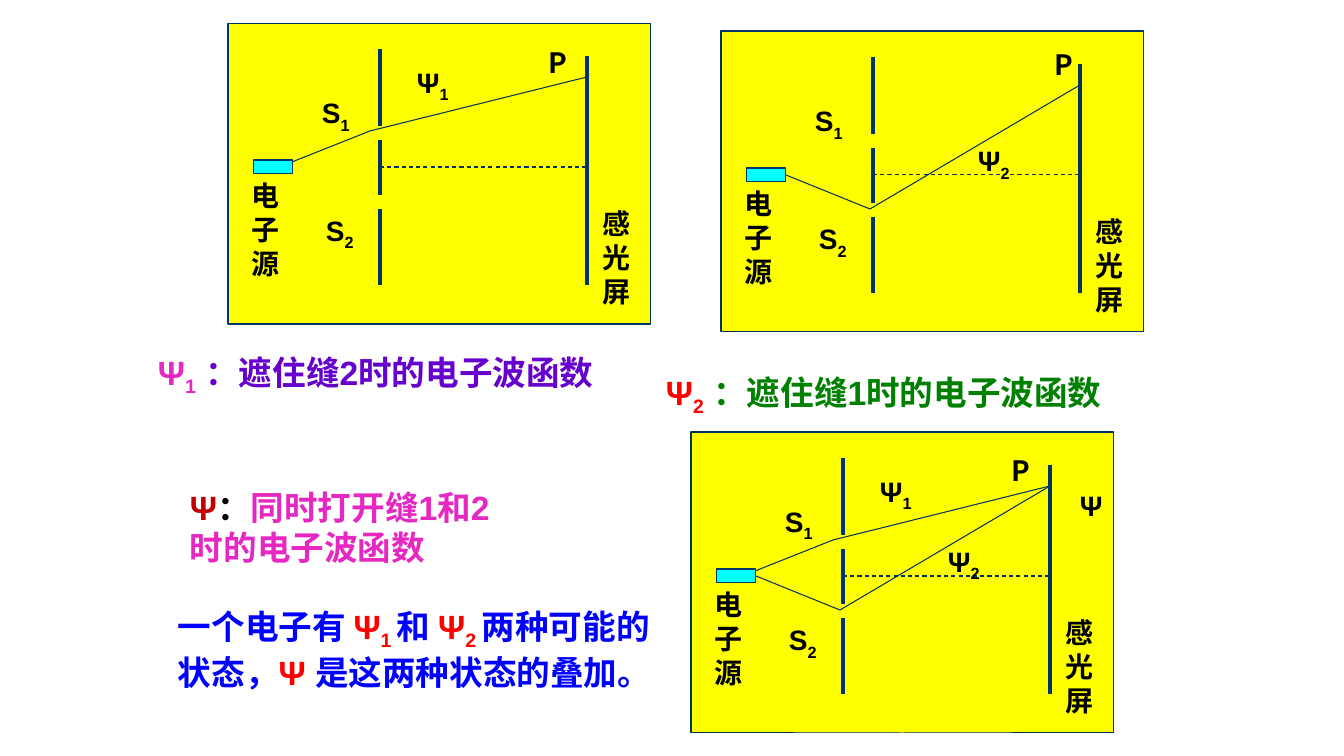
import pptx
import pptx.dml.color
import pptx.enum.dml
import pptx.enum.shapes
import pptx.enum.text
import pptx.oxml.ns
import pptx.util
from lxml import etree

PX = 914400 / 100.8
COLORS = {
    "black": "000000", "white": "FFFFFF", "navy": "003366",
    "yellow": "FFFF00", "cyan": "00FFFF", "blue": "0000FF",
    "red": "FF0000", "dark": "C00000", "pink": "E628C2",
    "purple": "6600CC", "green": "008000",
}
FRAME = {
    "word_wrap": True,
    "vertical_anchor": pptx.enum.text.MSO_ANCHOR.TOP,
}
LABEL = {"size": pptx.util.Pt(20), "bold": True, "name": "Arial"}
POINT = {**LABEL, "name": "Noto Sans CJK SC"}
BODY = {**LABEL, "size": pptx.util.Pt(24)}


def emu(*px):
    return [round(n * PX) for n in px]


def color(name):
    return pptx.dml.color.RGBColor.from_string(COLORS[name])


def apply(item, values):
    for key, value in values.items():
        setattr(item, key, value)


def add_rect(slide, box, fill, line=None):
    rect = slide.shapes.add_shape(
        pptx.enum.shapes.MSO_SHAPE.RECTANGLE, *emu(*box))
    rect.shadow.inherit = False
    rect.fill.solid()
    rect.fill.fore_color.rgb = color(fill)
    if line:
        rect.line.color.rgb = color(line)
        rect.line.width = pptx.util.Pt(0.75)
    else:
        rect.line.fill.background()
    return rect


def add_line(slide, start, end, width=0.75, dash=False):
    line = slide.shapes.add_connector(
        pptx.enum.shapes.MSO_CONNECTOR.STRAIGHT, *emu(*start, *end))
    line.line.color.rgb = color("navy")
    line.line.width = pptx.util.Pt(width)
    if dash:
        line.line.dash_style = pptx.enum.dml.MSO_LINE.DASH
    etree.SubElement(line._element.spPr, pptx.oxml.ns.qn("a:effectLst"))


def add_text(slide, box, parts, fmt, fill=None):
    """Each part is (text, colour); a text that starts with _ is lowered."""
    if fill:
        shape = add_rect(slide, box, fill)
    else:
        shape = slide.shapes.add_textbox(*emu(*box))
    apply(shape.text_frame, FRAME)
    para = shape.text_frame.paragraphs[0]
    para.alignment = pptx.enum.text.PP_ALIGN.LEFT
    for text, tint in parts:
        run = para.add_run()
        run.text = text.lstrip("_")
        apply(run.font, fmt)
        run.font.color.rgb = color(tint)
        if text.startswith("_"):
            run.font._element.set("baseline", "-25000")


def add_panel(slide, box, paths, labels):
    """Draw one two-slit set-up; paths and labels are relative to the box."""
    left, top, width, height = box

    def at(x, y):
        return left + x, top + y

    add_rect(slide, box, "yellow", "navy")

    # Electron paths
    for path in paths:
        for start, end in zip(path, path[1:]):
            add_line(slide, at(*start), at(*end))

    # Axis, slit wall and screen
    wall, screen = 152, 359
    add_line(slide, at(wall, 144), at(screen, 144), dash=True)
    for x, y1, y2 in ((wall, 26, 103), (wall, 117, 172),
                      (wall, 186, 262), (screen, 33, 262)):
        add_line(slide, at(x, y1), at(x, y2), 3)

    # Source and labels
    add_rect(slide, (*at(26, 137), 39, 14), "cyan", "navy")
    for x, y, wide, high, *texts in FIXED + labels:
        fmt = POINT if texts == ["P"] else LABEL
        add_text(slide, (*at(x, y), wide, high),
                 [(text, "black") for text in texts], fmt)


# Parts shared by the panels
FIXED = [
    (84, 68, 62, 44, "S", "_1"),
    (88, 186, 57, 44, "S", "_2"),
    (14, 151, 68, 64, "电子源"),
    (365, 179, 31, 92, "感光屏"),
]
UPPER = [(54, 143), (142, 108), (359, 54)]
LOWER = [(65, 144), (149, 178), (359, 54)]
PSI_ONE = (179, 38, 67, 44, "Ψ", "_1")
PSI_TWO = (247, 108, 75, 44, "Ψ", "_2")
PSI_SUM = (379, 52, 43, 44, "Ψ")
SIZE = (423, 301)


def add_notes(slide):
    # Wave function captions
    for box, slit, shut, tint, hue in (
            ((148, 347, 498, 50), "1", "2", "pink", "purple"),
            ((656, 367, 498, 50), "2", "1", "red", "green")):
        add_text(slide, box, [
            ("Ψ", tint), ("_" + slit, tint),
            (f" ：遮住缝{shut}时的电子波函数", hue)], BODY)
    add_text(slide, (180, 482, 352, 92), [
        ("Ψ", "dark"), ("：", "black"),
        ("同时打开缝1和2时的电子波函数", "pink")], BODY)

    # Conclusion
    add_text(slide, (168, 601, 514, 92), [
        ("一个电子有 ", "blue"), ("Ψ", "red"), ("_1 ", "red"),
        ("和 ", "blue"), ("Ψ", "red"), ("_2 ", "red"),
        ("两种可能的状态，", "blue"), ("Ψ ", "red"),
        ("是这两种状态的叠加。", "blue")], BODY, "white")


def main():
    deck = pptx.Presentation()
    deck.slide_width, deck.slide_height = emu(1344, 756)
    slide = deck.slides.add_slide(deck.slide_layouts[6])
    add_notes(slide)
    add_panel(slide, (228, 23, *SIZE), [UPPER],
              [PSI_ONE, (311, 18, 37, 36, "P")])
    add_panel(slide, (721, 31, *SIZE), [LOWER],
              [PSI_TWO, (324, 12, 37, 36, "P")])
    add_panel(slide, (691, 432, *SIZE), [UPPER, LOWER],
              [PSI_ONE, PSI_TWO, PSI_SUM, (311, 17, 37, 36, "P")])
    deck.save("out.pptx")


if __name__ == "__main__":
    main()
